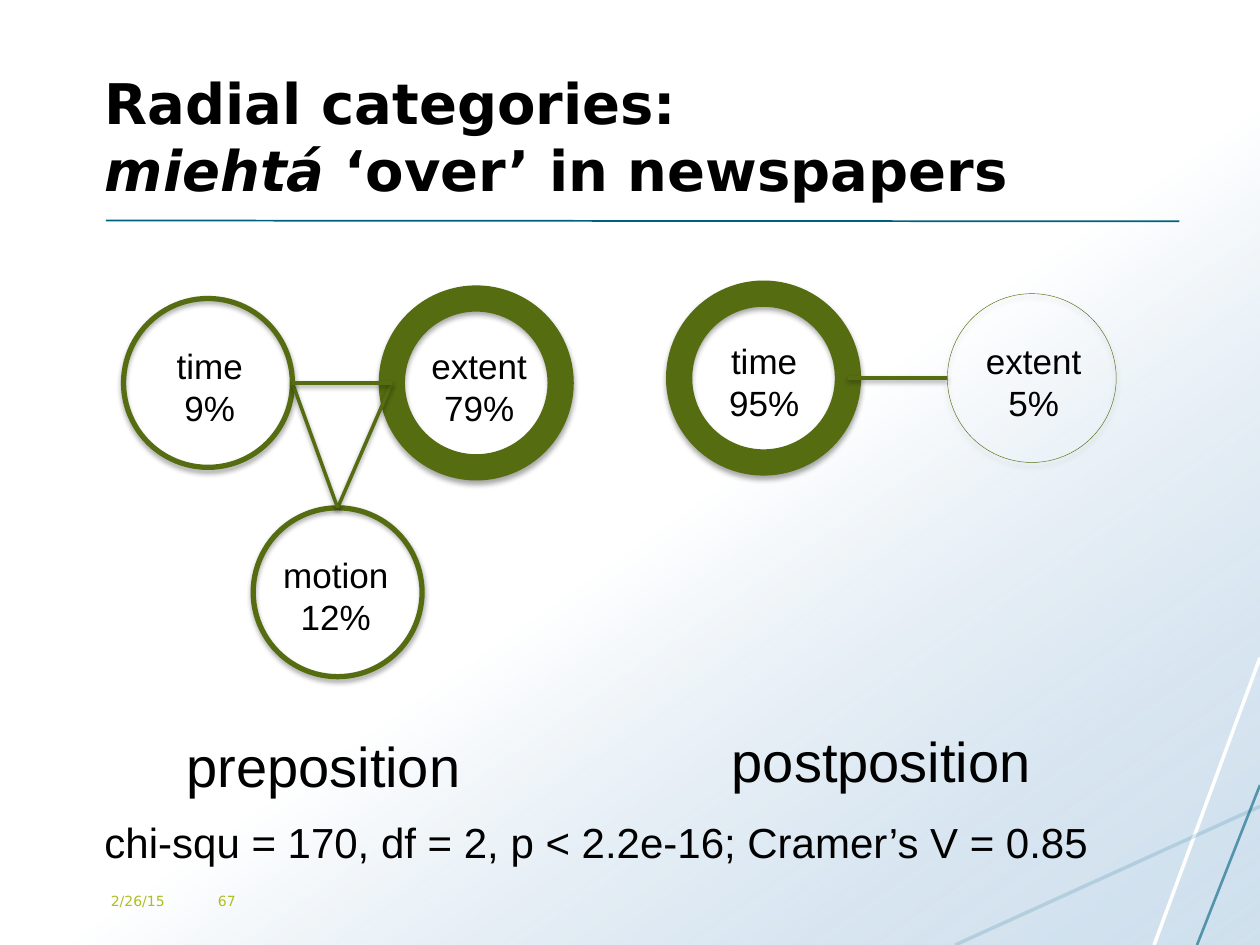
"""Build a slide comparing radial categories of miehtá as preposition and postposition."""
from lxml import etree
from pptx import Presentation
from pptx import util as u
from pptx.dml.color import RGBColor
from pptx.enum import shapes as sh, text as tx
from pptx.oxml import parse_xml
from pptx.oxml.ns import nsdecls, qn

Pt = u.Pt


def rgb(code):
    return RGBColor.from_string(code)


def put_text(left, top, width, height, lines, size, font="Arial", color="000000", **frame_format):
    frame = slide.shapes.add_textbox(Pt(left), Pt(top), Pt(width), Pt(height)).text_frame
    for key, value in {"word_wrap": False, **frame_format}.items():
        setattr(frame, key, value)
    for i, line in enumerate(lines):
        paragraph = frame.paragraphs[0] if i == 0 else frame.add_paragraph()
        paragraph.text = line
        paragraph.alignment = tx.PP_ALIGN.CENTER if len(lines) > 1 else tx.PP_ALIGN.LEFT
        for key, value in {"size": Pt(size), "name": font}.items():
            setattr(paragraph.font, key, value)
        paragraph.font.color.rgb = rgb(color)


GREEN = "566C11"
SHADOW = (
    '<a:effectLst {ns}><a:outerShdw blurRad="{blur}" dist="{dist}" dir="5400000" rotWithShape="0">'
    '<a:srgbClr val="000000"><a:alpha val="{alpha}"/></a:srgbClr></a:outerShdw></a:effectLst>'
)
ring_shadow = SHADOW.format(ns=nsdecls("a"), blur=Pt(3.1), dist=Pt(1.8), alpha=35000)
link_shadow = SHADOW.format(ns=nsdecls("a"), blur=Pt(3.1), dist=Pt(1.6), alpha=38000)

prs = Presentation()
prs.slide_width, prs.slide_height = Pt(720), Pt(540)
slide = prs.slides.add_slide(prs.slide_layouts[5])

backdrop = slide.shapes.add_shape(sh.MSO_SHAPE.RECTANGLE, 0, 0, Pt(720), Pt(540))
backdrop.shadow.inherit = False
backdrop.line.fill.background()
backdrop.fill.gradient()
backdrop.fill.gradient_angle = 305
for stop, (position, color) in zip(backdrop.fill.gradient_stops, [(0.54, "FFFFFF"), (1, "A9C7E0")]):
    stop.position = position
    stop.color.rgb = rgb(color)
faded = backdrop._element.spPr.findall(".//" + qn("a:srgbClr"))[-1]
etree.SubElement(faded, qn("a:alpha")).set("val", "54000")
slide.shapes._spTree.insert(2, backdrop._element)

decor_lines = [
    (720, 375.8, 659.5, 540, "FFFFFF", 2, 100),
    (720, 460.8, 545.8, 540, "15718F", 2, 16),
    (720, 448.6, 684, 540, "00617F", 1.5, 60),
    (60.5, 126, 673.9, 126.5, "00617F", 1, 100),
]
for x1, y1, x2, y2, color, weight, opacity in decor_lines:
    stroke = slide.shapes.add_connector(sh.MSO_CONNECTOR.STRAIGHT, Pt(x1), Pt(y1), Pt(x2), Pt(y2))
    stroke.line.color.rgb = rgb(color)
    stroke.line.width = Pt(weight)
    etree.SubElement(stroke._element.spPr, qn("a:effectLst"))
    if opacity < 100:
        tint = stroke._element.spPr.find(".//" + qn("a:srgbClr"))
        etree.SubElement(tint, qn("a:alpha")).set("val", str(opacity * 1000))

title = slide.shapes.title
for key, value in {"left": 52.6, "top": 23.8, "width": 620.6, "height": 95.8}.items():
    setattr(title, key, Pt(value))
title_format = {"vertical_anchor": tx.MSO_ANCHOR.BOTTOM, "auto_size": tx.MSO_AUTO_SIZE.NONE}
for key, value in title_format.items():
    setattr(title.text_frame, key, value)
heading = title.text_frame.paragraphs[0]
heading.alignment = tx.PP_ALIGN.LEFT
for part, italic in [("Radial categories:", False), ("miehtá", True), (" ‘over’ in newspapers", False)]:
    run = heading.add_run()
    run.text = part
    for key, value in {"size": Pt(32), "name": "DejaVu Sans", "bold": True, "italic": italic}.items():
        setattr(run.font, key, value)
    run.font.color.rgb = rgb("000000")
    if part.endswith(":"):
        heading.add_line_break()

for left, width, footer in [(56.2, 51, "2/26/15"), (117.4, 228, "67")]:
    put_text(left, 500.4, width, 28.8, [footer], 8, "DejaVu Sans", "AFBD22",
             vertical_anchor=tx.MSO_ANCHOR.MIDDLE, word_wrap=True)

DIAMETER = 96.5
categories = [
    ("pre time", "9%", 70.6, 170.6, 3, 90.7, 58.3),
    ("pre extent", "79%", 223.9, 170.6, 15, 235.4, 77),
    ("pre motion", "12%", 144.7, 290.2, 3, 149.8, 84.2),
    ("post time", "95%", 388.1, 167.8, 15, 407.5, 58.3),
    ("post extent", "5%", 541.4, 167.8, 0.25, 552.2, 77),
]
rings = {}
for sense, share, left, top, weight, label_left, label_width in categories:
    ring = slide.shapes.add_shape(sh.MSO_SHAPE.OVAL, Pt(left), Pt(top), Pt(DIAMETER), Pt(DIAMETER))
    ring.fill.background()
    ring.line.color.rgb = rgb(GREEN)
    ring.line.width = Pt(weight)
    ring._element.spPr.append(parse_xml(ring_shadow))
    rings[sense] = ring
    put_text(label_left, top + 22.8, label_width, 55.4, [sense.split()[1], share], 20)

SIDES = {"left": (0, 0.5), "right": (1, 0.5), "top": (0.5, 0)}
links = [
    ("pre extent", "left", "pre motion", "top"),
    ("pre time", "right", "pre motion", "top"),
    ("pre time", "right", "pre extent", "left"),
    ("post time", "right", "post extent", "left"),
]
for start, start_side, end, end_side in links:
    ends = []
    for sense, side in [(start, start_side), (end, end_side)]:
        ring, (across, down) = rings[sense], SIDES[side]
        ends += [int(ring.left + ring.width * across), int(ring.top + ring.height * down)]
    link = slide.shapes.add_connector(sh.MSO_CONNECTOR.STRAIGHT, *ends)
    link.line.color.rgb = rgb(GREEN)
    link.line.width = Pt(2)
    link._element.spPr.append(parse_xml(link_shadow))

put_text(99.4, 414.7, 193.7, 46.1, ["preposition"], 32)
put_text(411.1, 411.8, 211, 46.1, ["postposition"], 32)
put_text(52.6, 463, 594, 36, ["chi-squ = 170, df = 2, p < 2.2e-16; Cramer’s V = 0.85"], 24)

prs.save("out.pptx")
